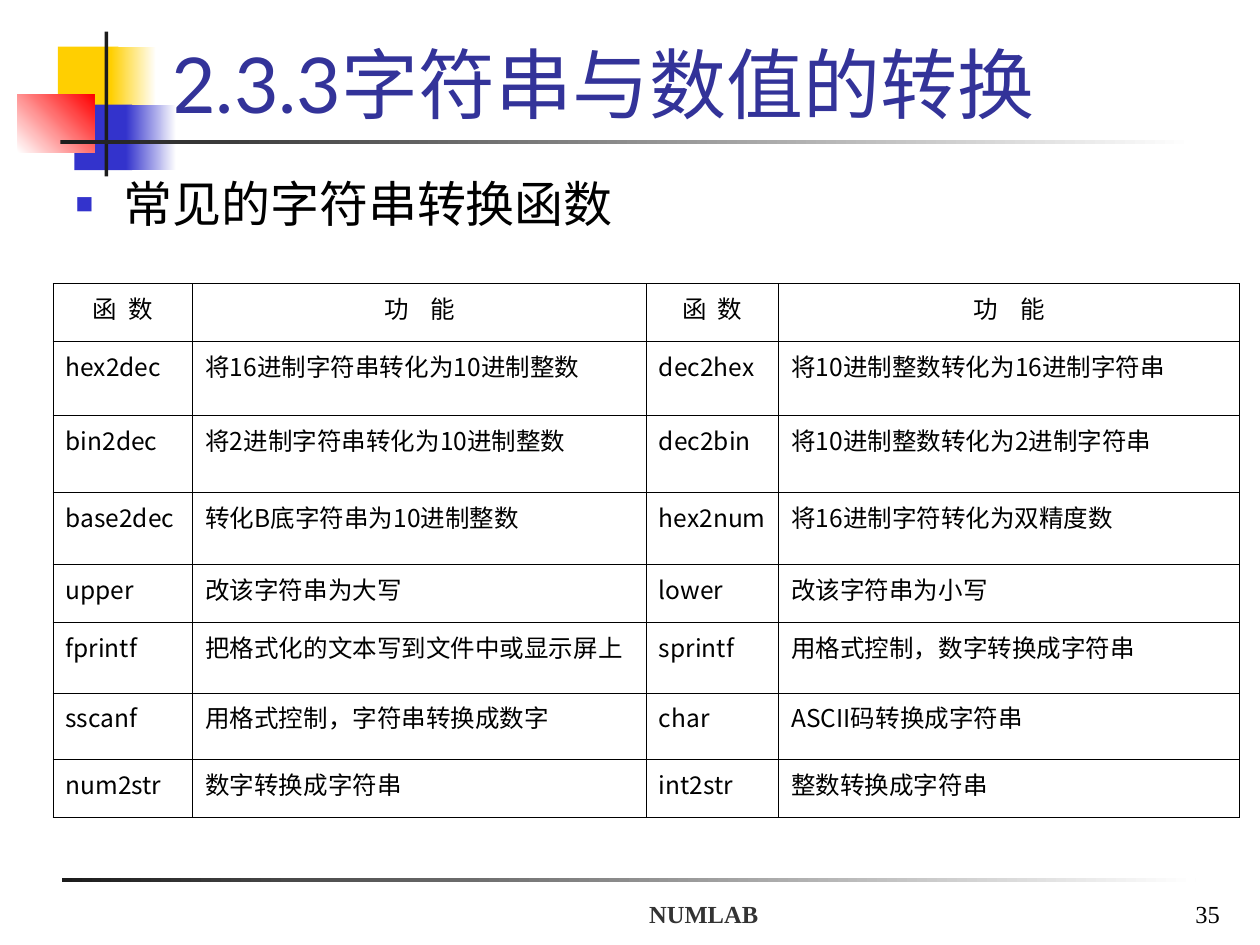
from lxml.etree import SubElement
from pptx import Presentation
from pptx.dml.color import RGBColor
from pptx.enum.shapes import MSO_SHAPE
from pptx.enum.text import MSO_ANCHOR as Anchor, MSO_AUTO_SIZE as AutoSize, PP_ALIGN as Align
from pptx.oxml.ns import qn
from pptx.util import Inches, Pt

COLORS = {
    "yellow": "FFCF01", "blue": "3333CC", "red": "FF0000", "dark": "1C1C1C",
    "white": "FFFFFF", "black": "000000", "title": "333399", "footer": "333333",
}
SANS, CJK, SERIF = "Lato", "Noto Sans CJK SC", "Times New Roman"


def rgb(name):
    return RGBColor.from_string(COLORS[name])


def write(frame, text, color, align, **font_format):
    """Put one formatted line into a text frame and return its paragraph."""
    line = frame.paragraphs[0]
    line.alignment = align
    run = line.add_run()
    run.text = text
    run.font.color.rgb = rgb(color)
    for attribute, value in font_format.items():
        setattr(run.font, attribute, value)
    SubElement(run.font._element, qn("a:ea"), typeface=CJK)
    return line


deck = Presentation()
deck.slide_width, deck.slide_height = Inches(10), Inches(7.5)
slide = deck.slides.add_slide(deck.slide_layouts[1])

# Corner ornament and rules: box, start colour, end colour, gradient angle
ornaments = [
    ((0.46, 0.37, 0.48, 0.52), "yellow", None, 0),
    ((0.88, 0.37, 0.36, 0.52), "yellow", "white", 0),
    ((0.59, 0.83, 0.46, 0.52), "blue", None, 0),
    ((1, 0.83, 0.4, 0.52), "blue", "white", 0),
    ((0.14, 0.75, 0.61, 0.46), "white", "red", 45),
    ((0.83, 0.25, 0.03, 1.15), "dark", None, 0),
    ((0.48, 1.11, 9, 0.03), "dark", "white", 0),
    ((0.49, 6.97, 9, 0.03), "dark", "white", 0),
]
for box, start, end, angle in ornaments:
    ornament = slide.shapes.add_shape(MSO_SHAPE.RECTANGLE, *map(Inches, box))
    ornament.shadow.inherit = False
    ornament.line.fill.background()
    if end is None:
        ornament.fill.solid()
        ornament.fill.fore_color.rgb = rgb(start)
    else:
        ornament.fill.gradient()
        ornament.fill.gradient_angle = angle
        for stop, color in zip(ornament.fill.gradient_stops, (start, end)):
            stop.color.rgb = rgb(color)

# Footer and page number
footers = [
    (4, 3.17, "NUMLAB", "footer", Align.CENTER, True),
    (7.7, 2.08, "35", "black", Align.RIGHT, False),
]
for left, width, text, color, align, bold in footers:
    footer = slide.shapes.add_textbox(Inches(left), Inches(6.92), Inches(width), Inches(0.5))
    footer.text_frame.word_wrap = True
    footer.text_frame.vertical_anchor = Anchor.BOTTOM
    write(footer.text_frame, text, color, align, size=Pt(14), name=SERIF, bold=bold)

# Title and bullet
title, topic = slide.shapes.title, slide.placeholders[1]
placeholders = [
    (title, (1.26, 0.23, 8.52, 0.84), Anchor.BOTTOM, "2.3.3字符串与数值的转换", "title", 44),
    (topic, (0.5, 1.33, 9, 1.67), Anchor.TOP, "常见的字符串转换函数", "black", 28),
]
for holder, box, anchor, text, color, size in placeholders:
    holder.left, holder.top, holder.width, holder.height = map(Inches, box)
    frame_format = {"word_wrap": True, "auto_size": AutoSize.NONE, "vertical_anchor": anchor}
    for attribute, value in frame_format.items():
        setattr(holder.text_frame, attribute, value)
    write(holder.text_frame, text, color, Align.LEFT, size=Pt(size), name=SANS)

bullet_line = topic.text_frame.paragraphs[0]
bullet_line.space_before = Pt(7)
bullet = bullet_line._p.get_or_add_pPr()
bullet.set("marL", str(Inches(0.38)))
bullet.set("indent", str(-Inches(0.38)))
SubElement(SubElement(bullet, qn("a:buClr")), qn("a:srgbClr"), val=COLORS["blue"])
SubElement(bullet, qn("a:buSzPct"), val="60000")
SubElement(bullet, qn("a:buChar"), char="■")

# Function table
column_widths = [1.11, 3.6, 1.05, 3.66]
row_heights = [0.46, 0.59, 0.61, 0.57, 0.46, 0.56, 0.53, 0.46]
functions = [
    ("函 数", "功 能", "函 数", "功 能"),
    ("hex2dec", "将16进制字符串转化为10进制整数", "dec2hex", "将10进制整数转化为16进制字符串"),
    ("bin2dec", "将2进制字符串转化为10进制整数", "dec2bin", "将10进制整数转化为2进制字符串"),
    ("base2dec", "转化B底字符串为10进制整数", "hex2num", "将16进制字符转化为双精度数"),
    ("upper", "改该字符串为大写", "lower", "改该字符串为小写"),
    ("fprintf", "把格式化的文本写到文件中或显示屏上", "sprintf", "用格式控制，数字转换成字符串"),
    ("sscanf", "用格式控制，字符串转换成数字", "char", "ASCII码转换成字符串"),
    ("num2str", "数字转换成字符串", "int2str", "整数转换成字符串"),
]
table = slide.shapes.add_table(
    len(functions), len(column_widths), Inches(0.42), Inches(2.25),
    Inches(sum(column_widths)), Inches(sum(row_heights))).table
table.first_row = table.horz_banding = False
for column, width in zip(table.columns, column_widths):
    column.width = Inches(width)
for row, height in zip(table.rows, row_heights):
    row.height = Inches(height)

HEADER_SPACING = ["150", "470"]  # widens the gap between the header characters
for r, texts in enumerate(functions):
    for c, text in enumerate(texts):
        cell = table.cell(r, c)
        align = Align.JUSTIFY if r else Align.CENTER
        entry = write(cell.text_frame, text, "black", align, size=Pt(14), name=CJK, bold=False)
        if r == 0:
            entry.runs[0].font._element.set("spc", HEADER_SPACING[c % 2])
        # Thin borders, with a heavier line between the two halves
        heavy_side = {1: "lnR", 2: "lnL"}.get(c)
        for side in ("lnL", "lnR", "lnT", "lnB"):
            weight = Pt(0.96 if side == heavy_side else 0.45)
            border = SubElement(cell._tc.get_or_add_tcPr(), qn(f"a:{side}"), w=str(weight))
            SubElement(SubElement(border, qn("a:solidFill")), qn("a:srgbClr"), val=COLORS["black"])
        cell.fill.background()

deck.save("out.pptx")
